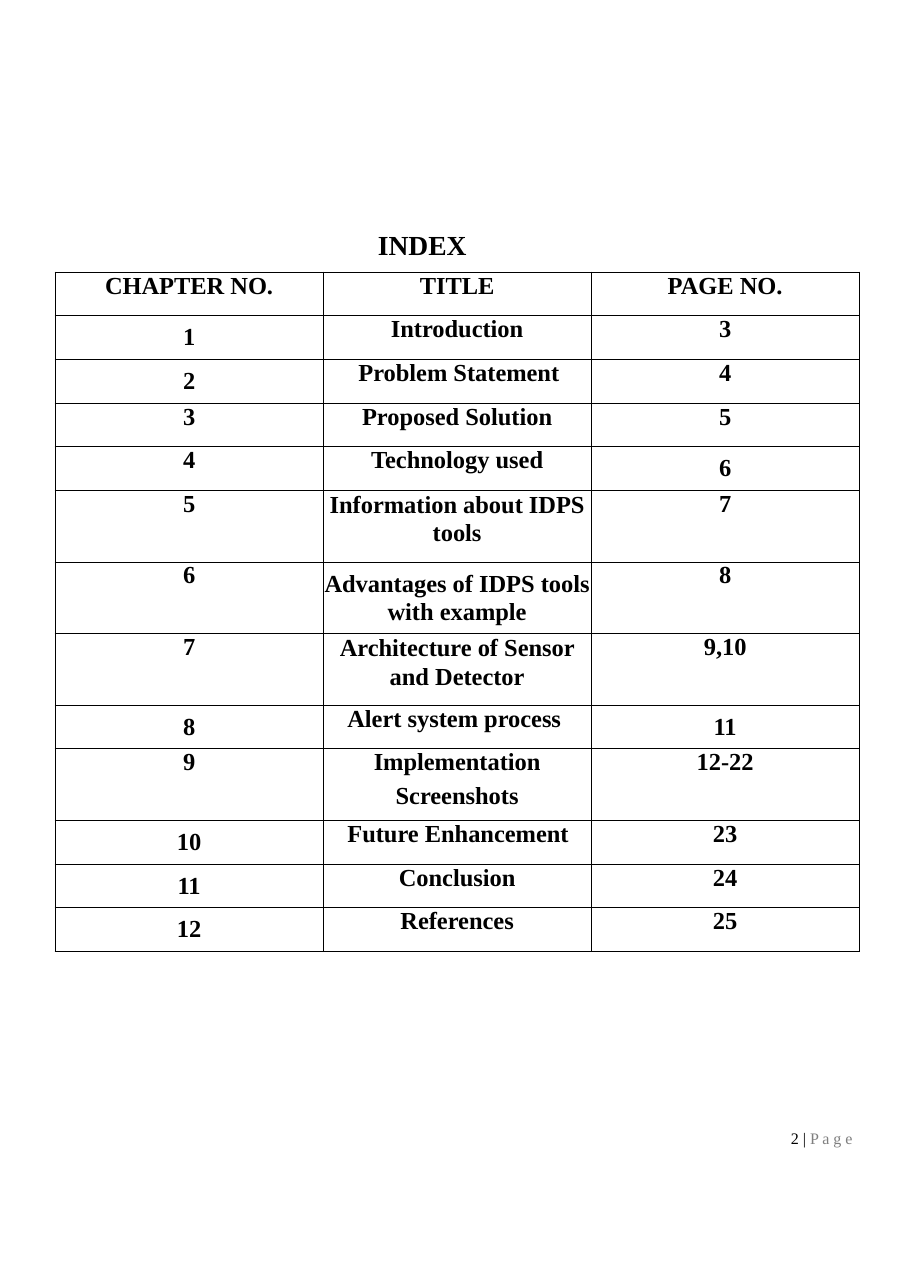
from lxml import etree
from pptx import Presentation
from pptx import util as u
from pptx.dml.color import RGBColor
from pptx.enum import text
from pptx.oxml import ns

HEADINGS = ("CHAPTER NO.", "TITLE", "PAGE NO.")
CHAPTERS = (
    ("Introduction", "3"),
    ("Problem Statement", "4"),
    ("Proposed Solution", "5"),
    ("Technology used", "6"),
    ("Information about IDPS tools", "7"),
    ("Advantages of IDPS tools with example", "8"),
    ("Architecture of Sensor and Detector", "9,10"),
    ("Alert system process", "11"),
    ("Implementation\nScreenshots", "12-22"),
    ("Future Enhancement", "23"),
    ("Conclusion", "24"),
    ("References", "25"),
)
TALL_ROWS = (5, 6, 7, 9)
EXACT_SPACING_ROWS = (5, 6, 7)
TITLE_INDENTS = {2: 0.32, 8: 0.22, 10: 0.22}
MIDDLE_CELLS = {(row, 0) for row in (1, 2, 8, 10, 11, 12)} | {(4, 2), (6, 1), (8, 2)}


def color(code):
    return RGBColor.from_string(code)


class IndexPage:
    font = "Times New Roman"
    ink = "000000"
    muted = "7F7F7F"
    grid = 100

    def __init__(self, deck):
        self.deck = deck
        self.page = deck.slides.add_slide(deck.slide_layouts[5])

    def columns(self, count):
        return round(self.deck.slide_width * count / self.grid)

    def rows(self, count):
        return round(self.deck.slide_height * count / self.grid)

    def area(self, left, top, width, height):
        return self.columns(left), self.rows(top), self.columns(width), self.rows(height)

    def span(self, para, words, size, bold=False, ink=ink):
        span = para.add_run()
        span.text = words
        span.font.name = self.font
        span.font.size = u.Pt(size)
        span.font.bold = bold
        span.font.color.rgb = color(ink)

    def plain_frame(self, box):
        frame = box.text_frame
        frame.margin_left = frame.margin_right = frame.margin_top = frame.margin_bottom = 0
        frame.word_wrap = False
        frame.auto_size = text.MSO_AUTO_SIZE.NONE
        frame.vertical_anchor = text.MSO_ANCHOR.TOP
        para = frame.paragraphs[0]
        para.alignment = text.PP_ALIGN.LEFT
        return para

    def title(self, words, *place):
        box = self.page.shapes.title
        box.left, box.top, box.width, box.height = self.area(*place)
        self.span(self.plain_frame(box), words, 18, bold=True)

    def footer(self, number, label, *place):
        para = self.plain_frame(self.page.shapes.add_textbox(*self.area(*place)))
        self.span(para, number, 10.5)
        self.span(para, label, 10.5, ink=self.muted)

    def borders(self, cell):
        properties = cell._tc.get_or_add_tcPr()
        for side in ("lnL", "lnR", "lnT", "lnB"):
            line = etree.SubElement(properties, ns.qn(f"a:{side}"), w=str(u.Pt(0.75)))
            fill = etree.SubElement(line, ns.qn("a:solidFill"))
            etree.SubElement(fill, ns.qn("a:srgbClr"), val=self.ink)

    def cell(self, cell, words, middle, indent, spacing):
        self.borders(cell)
        cell.fill.background()
        cell.margin_left = cell.margin_right = cell.margin_top = cell.margin_bottom = 0
        cell.vertical_anchor = text.MSO_ANCHOR.MIDDLE if middle else text.MSO_ANCHOR.TOP
        lines = words.split("\n")
        for position, line in enumerate(lines):
            para = cell.text_frame.add_paragraph() if position else cell.text_frame.paragraphs[0]
            para.alignment = text.PP_ALIGN.LEFT if indent else text.PP_ALIGN.CENTER
            if indent:
                para._p.get_or_add_pPr().set("marL", str(u.Inches(indent)))
            if spacing:
                para.line_spacing = u.Pt(spacing)
            if position < len(lines) - 1:
                para.space_after = u.Pt(4.2)
            self.span(para, line, 16, bold=True)

    def table(self, entries, left, top, width, height, tall):
        area = self.area(left, top, width, height)
        table = self.page.shapes.add_table(len(entries), len(entries[0]), *area).table
        table.first_row = table.horz_banding = False
        for column in table.columns:
            column.width = self.columns(width / len(entries[0]))
        short = (height - tall * len(TALL_ROWS)) / (len(entries) - len(TALL_ROWS))
        for row, entry in enumerate(entries):
            table.rows[row].height = self.rows(tall if row in TALL_ROWS else short)
            for column, words in enumerate(entry):
                is_title = column == 1
                self.cell(
                    table.cell(row, column),
                    words,
                    middle=(row, column) in MIDDLE_CELLS,
                    indent=TITLE_INDENTS.get(row) if is_title else None,
                    spacing=18.5 if is_title and row in EXACT_SPACING_ROWS else None,
                )


def main():
    deck = Presentation()
    deck.slide_width, deck.slide_height = u.Inches(8.27), u.Inches(11.69)
    index = IndexPage(deck)
    entries = [HEADINGS]
    entries += [(str(number), *chapter) for number, chapter in enumerate(CHAPTERS, 1)]
    index.title("INDEX", 41.48, 17.7, 10.04, 1.8)
    index.table(entries, 6.05, 21.13, 88.27, 52.78, tall=5.56)
    index.footer("2 | ", "P a g e", 86.82, 87.6, 7.5, 1.54)
    deck.save("out.pptx")


if __name__ == "__main__":
    main()
